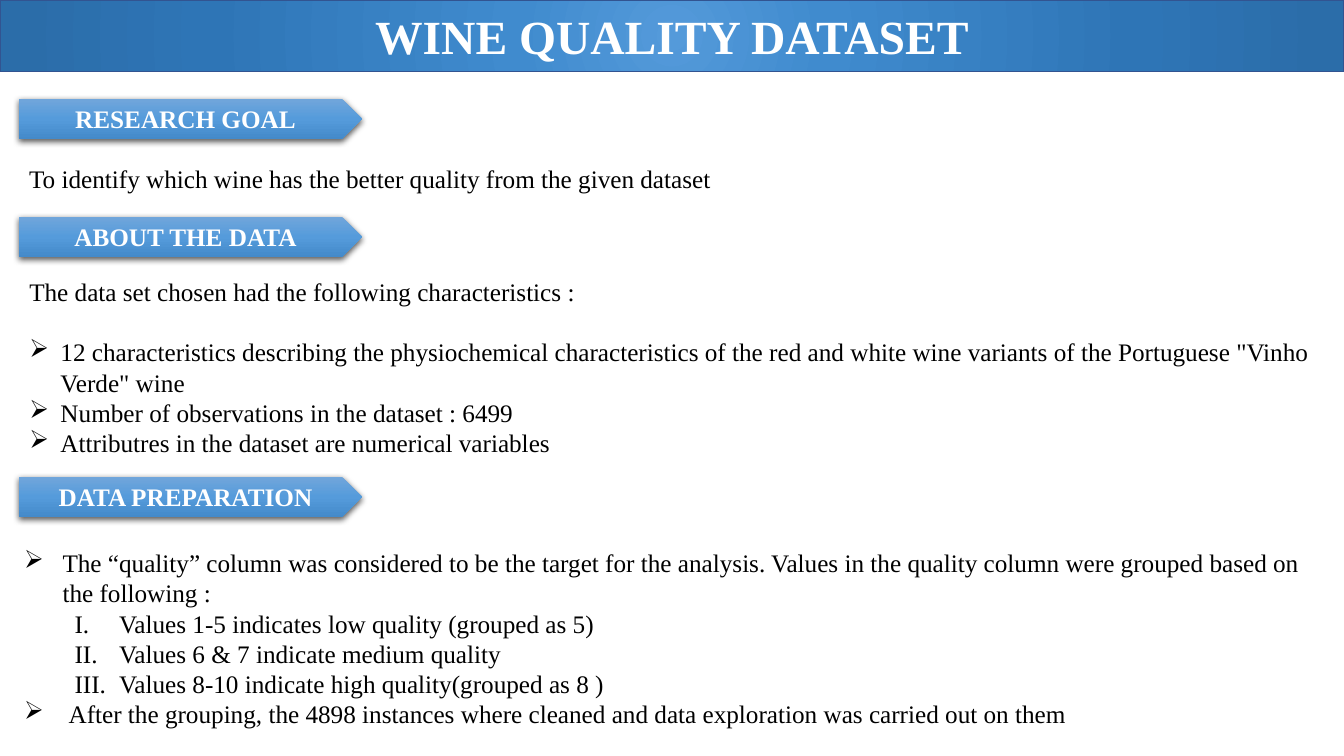
from dataclasses import dataclass

from lxml import etree
from pptx import Presentation
from pptx import util as u
from pptx.dml.color import RGBColor
from pptx.enum import shapes, text
from pptx.oxml.ns import qn

FONT = "Times New Roman"
WHITE = RGBColor(0xFF, 0xFF, 0xFF)
BLACK = RGBColor(0, 0, 0)
TITLE_LINE = RGBColor(0x32, 0x54, 0x91)
TITLE_STOPS = [(0, RGBColor(0x54, 0x9A, 0xDA)), (23, RGBColor(0x40, 0x8B, 0xCE)),
               (69, RGBColor(0x2E, 0x75, 0xB6)), (97, RGBColor(0x2B, 0x6D, 0xA9))]
BANNER_STOPS = [(0, RGBColor(0x71, 0xA6, 0xDB)), (50, RGBColor(0x55, 0x9B, 0xDB)),
                (100, RGBColor(0x44, 0x8A, 0xCA))]
LINE_PITCH = u.Pt(21.6)
ARROW, ROMAN = "arrow", "roman"


@dataclass
class Banner:
    label: str
    top: float


@dataclass
class Item:
    words: str
    bullet: str = ""
    margin: float = 0
    hang: float = 0
    before: float = 0


BANNERS = [Banner("RESEARCH GOAL", 0.98), Banner("ABOUT THE DATA", 2.15),
           Banner("DATA PREPARATION", 4.73)]
GOAL = [Item("To identify which wine has the better quality from the given dataset")]
ABOUT = [
    Item("The data set chosen had the following characteristics :"),
    Item("12 characteristics describing the physiochemical characteristics of the red and "
         "white wine variants of the Portuguese \"Vinho Verde\" wine", ARROW, 0.31, 0.31, 21.6),
    Item("Number of observations in the dataset : 6499", ARROW, 0.31, 0.31),
    Item("Attributres in the dataset are numerical variables", ARROW, 0.31, 0.31),
]
PREPARATION = [
    Item("The “quality” column was considered to be the target for the analysis. Values in "
         "the quality column were grouped based on the following :", ARROW, 0.38, 0.38),
    Item("Values 1-5 indicates low quality (grouped as 5)", ROMAN, 0.94, 0.44),
    Item("Values 6 & 7 indicate medium quality", ROMAN, 0.94, 0.44),
    Item("Values 8-10 indicate high quality(grouped as 8 )", ROMAN, 0.94, 0.44),
    Item("After the grouping, the 4898 instances where cleaned and data exploration was "
         "carried out on them", ARROW, 0.44, 0.44),
]


def add(parent, tag: str, **attrs):
    return etree.SubElement(parent, qn(tag), {k: str(v) for k, v in attrs.items()})


def place(sp, left: float, top: float, width: float, height: float) -> None:
    sp.left, sp.top = u.Inches(left), u.Inches(top)
    sp.width, sp.height = u.Inches(width), u.Inches(height)


def write(p, words: str, *, size: float = 18, color: RGBColor = BLACK,
          bold: bool = False, align=text.PP_ALIGN.LEFT) -> None:
    p.alignment = align
    r = p.add_run()
    r.text = words
    r.font.name, r.font.size, r.font.bold = FONT, u.Pt(size), bold
    r.font.color.rgb = color


def fill_gradient(sp, stops, radial: bool = False) -> None:
    sp.fill.gradient()
    grad = sp._element.spPr.find(qn("a:gradFill"))
    for child in list(grad):
        grad.remove(child)
    stop_list = add(grad, "a:gsLst")
    for percent, color in stops:
        add(add(stop_list, "a:gs", pos=percent * 1000), "a:srgbClr", val=color)
    if radial:
        shade = add(grad, "a:path", path="circle")
        add(shade, "a:fillToRect", l=50000, t=50000, r=50000, b=50000)
    else:
        add(grad, "a:lin", ang=5400000, scaled=0)


def set_bullet(p, item: Item) -> None:
    pPr = p._p.get_or_add_pPr()
    pPr.set("marL", str(u.Inches(item.margin)))
    pPr.set("indent", str(-u.Inches(item.hang)))
    if item.bullet == ARROW:
        add(pPr, "a:buFont", typeface="Wingdings")
        add(pPr, "a:buChar", char="Ø")
    elif item.bullet == ROMAN:
        add(pPr, "a:buFont", typeface="+mj-lt")
        add(pPr, "a:buAutoNum", type="romanUcPeriod")
    else:
        add(pPr, "a:buNone")


def write_items(sp, items: list[Item]) -> None:
    tf = sp.text_frame
    tf.word_wrap, tf.auto_size = True, text.MSO_AUTO_SIZE.NONE
    tf.vertical_anchor = text.MSO_ANCHOR.TOP
    for i, item in enumerate(items):
        p = tf.add_paragraph() if i else tf.paragraphs[0]
        p.level = 1 if item.bullet == ROMAN else 0
        p.line_spacing = LINE_PITCH
        p.space_before, p.space_after = u.Pt(item.before), u.Pt(0)
        write(p, item.words)
        set_bullet(p, item)


def add_banner(slide, banner: Banner) -> None:
    sp = slide.shapes.add_shape(shapes.MSO_SHAPE.PENTAGON, 0, 0, 0, 0)
    place(sp, 0.19, banner.top, 3.4, 0.4)
    fill_gradient(sp, BANNER_STOPS)
    sp.line.fill.background()
    sp.shadow.inherit = False
    effects = sp._element.spPr.find(qn("a:effectLst"))
    shadow = add(effects, "a:outerShdw", blurRad=u.Pt(4.5), dist=u.Pt(1.5),
                 dir=5400000, algn="ctr", rotWithShape=0)
    add(add(shadow, "a:srgbClr", val=BLACK), "a:alpha", val=63000)
    tf = sp.text_frame
    tf.vertical_anchor = text.MSO_ANCHOR.MIDDLE
    write(tf.paragraphs[0], banner.label, color=WHITE, bold=True,
          align=text.PP_ALIGN.CENTER)


prs = Presentation()
prs.slide_width, prs.slide_height = u.Inches(13.33), u.Inches(7.5)
slide = prs.slides.add_slide(prs.slide_layouts[3])
title, about, preparation = slide.placeholders

# Title bar
place(title, 0, 0, 13.33, 0.71)
add(add(title._element.spPr, "a:prstGeom", prst="rect"), "a:avLst")
fill_gradient(title, TITLE_STOPS, radial=True)
title.line.color.rgb, title.line.width = TITLE_LINE, u.Pt(1)
tf = title.text_frame
tf.auto_size, tf.vertical_anchor = text.MSO_AUTO_SIZE.NONE, text.MSO_ANCHOR.MIDDLE
write(tf.paragraphs[0], "WINE QUALITY DATASET", size=34, color=WHITE, bold=True,
      align=text.PP_ALIGN.CENTER)

# Section texts
goal = slide.shapes.add_textbox(0, 0, 0, 0)
place(goal, 0.19, 1.57, 13.1, 0.4)
place(about, 0.19, 2.69, 13.1, 1.9)
place(preparation, 0.14, 5.38, 13.05, 1.9)
for sp, items in ((goal, GOAL), (about, ABOUT), (preparation, PREPARATION)):
    write_items(sp, items)

# Section banners
for banner in BANNERS:
    add_banner(slide, banner)

prs.save("out.pptx")
